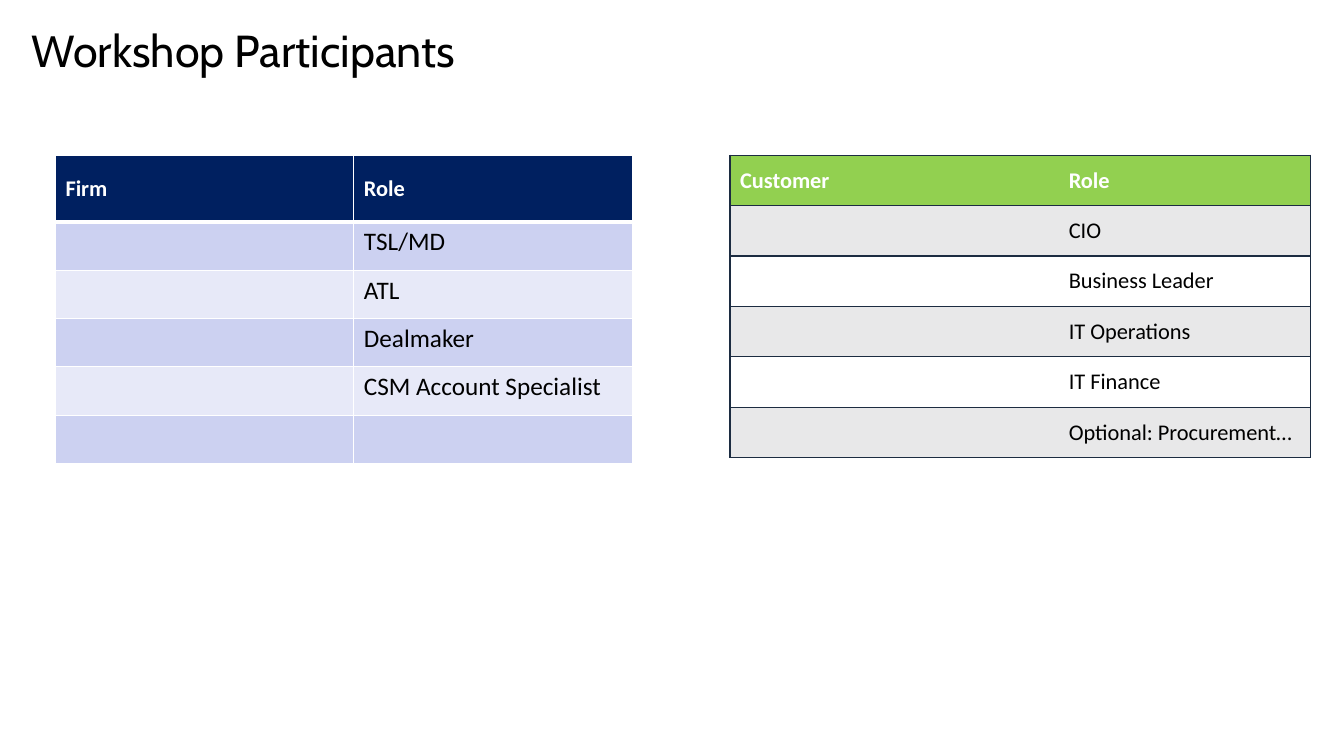
from dataclasses import dataclass
from typing import Any

from lxml.etree import SubElement
from pptx import Presentation
from pptx.dml.color import RGBColor
from pptx.enum.text import MSO_ANCHOR as Anchor, PP_ALIGN as Align
from pptx.oxml.ns import qn
from pptx.util import Pt

EMU_PER_PX = 9144


@dataclass(frozen=True)
class Theme:
    title_font: str = "Cabin"
    body_font: str = "Calibri"
    title_size: int = 32
    large_size: int = 18
    small_size: int = 16
    black: str = "000000"
    white: str = "FFFFFF"
    navy: str = "002060"
    lavender: str = "CCD1F1"
    pale_lavender: str = "E7E9F8"
    green: str = "92D050"
    grey: str = "E8E8E9"
    ink: str = "1C2C41"


THEME = Theme()


@dataclass(frozen=True)
class Roster:
    party: str
    roles: tuple[str, ...]
    left: int
    top: int
    column_widths: tuple[int, int]
    header_height: int
    row_height: int
    header_fill: str
    bands: tuple[str, str]
    role_size: int
    role_anchor: Anchor
    line_color: str
    header_rule: int
    inner_vertical: bool


ROSTERS = (
    Roster("Firm", ("TSL/MD", "ATL", "Dealmaker", "CSM Account Specialist", ""),
           55, 154, (296, 276), 66, 48, THEME.navy,
           (THEME.lavender, THEME.pale_lavender), THEME.large_size,
           Anchor.TOP, THEME.white, 3, True),
    Roster("Customer", ("CIO", "Business Leader", "IT Operations", "IT Finance",
                        "Optional: Procurement…"),
           724, 154, (326, 250), 50, 50, THEME.green,
           (THEME.grey, THEME.white), THEME.small_size,
           Anchor.MIDDLE, THEME.ink, 1, False),
)


def px(length: int) -> int:
    return length * EMU_PER_PX


def apply(target: Any, values: dict[str, Any]) -> None:
    for name, value in values.items():
        setattr(target, name, value)


def format_font(font: Any, face: str, size: int, color: str, bold: bool = False) -> None:
    apply(font, {"name": face, "size": Pt(size), "bold": bold})
    font.color.rgb = RGBColor.from_string(color)


def add_border(cell: Any, side: str, color: str, width: int) -> None:
    properties = cell._tc.get_or_add_tcPr()
    line = SubElement(properties, qn(f"a:ln{side}"), w=str(Pt(width)))
    if width:
        fill = SubElement(line, qn("a:solidFill"))
        SubElement(fill, qn("a:srgbClr"), val=color)
    else:
        SubElement(line, qn("a:noFill"))


def fill_cell(cell: Any, roster: Roster, row: int, column: int, text: str) -> None:
    is_header = row == 0
    inner = int(roster.inner_vertical)
    borders = {
        "L": 1 if column == 0 else inner,
        "R": 1 if column == 1 else inner,
        "T": roster.header_rule if row == 1 else 1,
        "B": roster.header_rule if is_header else 1,
    }
    for side, width in borders.items():
        add_border(cell, side, roster.line_color, width)
    cell.fill.solid()
    background = roster.header_fill if is_header else roster.bands[(row - 1) % 2]
    cell.fill.fore_color.rgb = RGBColor.from_string(background)
    cell.vertical_anchor = Anchor.MIDDLE if is_header else roster.role_anchor
    if text:
        cell.text = text
        format_font(cell.text_frame.paragraphs[0].runs[0].font, THEME.body_font,
                    THEME.small_size if is_header else roster.role_size,
                    THEME.white if is_header else THEME.black, is_header)


def add_roster(slide: Any, roster: Roster) -> None:
    entries = [(roster.party, "Role"), *(("", role) for role in roster.roles)]
    heights = [roster.header_height] + [roster.row_height] * len(roster.roles)
    table = slide.shapes.add_table(
        len(entries), 2, px(roster.left), px(roster.top),
        px(sum(roster.column_widths)), px(sum(heights))).table
    for column, width in zip(table.columns, roster.column_widths):
        column.width = px(width)
    for row, height in zip(table.rows, heights):
        row.height = px(height)
    for row_index, entry in enumerate(entries):
        for column_index, text in enumerate(entry):
            fill_cell(table.cell(row_index, column_index), roster,
                      row_index, column_index, text)


def set_title(slide: Any, text: str) -> None:
    title = slide.shapes.title
    apply(title, {"left": px(31), "top": px(29), "width": px(1239), "height": px(51)})
    frame = title.text_frame
    apply(frame, {"text": text, "word_wrap": True, "vertical_anchor": Anchor.TOP,
                  "margin_left": 0, "margin_top": 0,
                  "margin_right": 0, "margin_bottom": 0})
    heading = frame.paragraphs[0]
    apply(heading, {"alignment": Align.LEFT, "line_spacing": 0.9})
    format_font(heading.runs[0].font, THEME.title_font, THEME.title_size, THEME.black)


def main() -> None:
    deck = Presentation()
    apply(deck, {"slide_width": px(1333), "slide_height": px(750)})
    slide = deck.slides.add_slide(deck.slide_layouts.get_by_name("Title Only"))
    set_title(slide, "Workshop Participants")
    for roster in ROSTERS:
        add_roster(slide, roster)
    deck.save("out.pptx")


if __name__ == "__main__":
    main()
